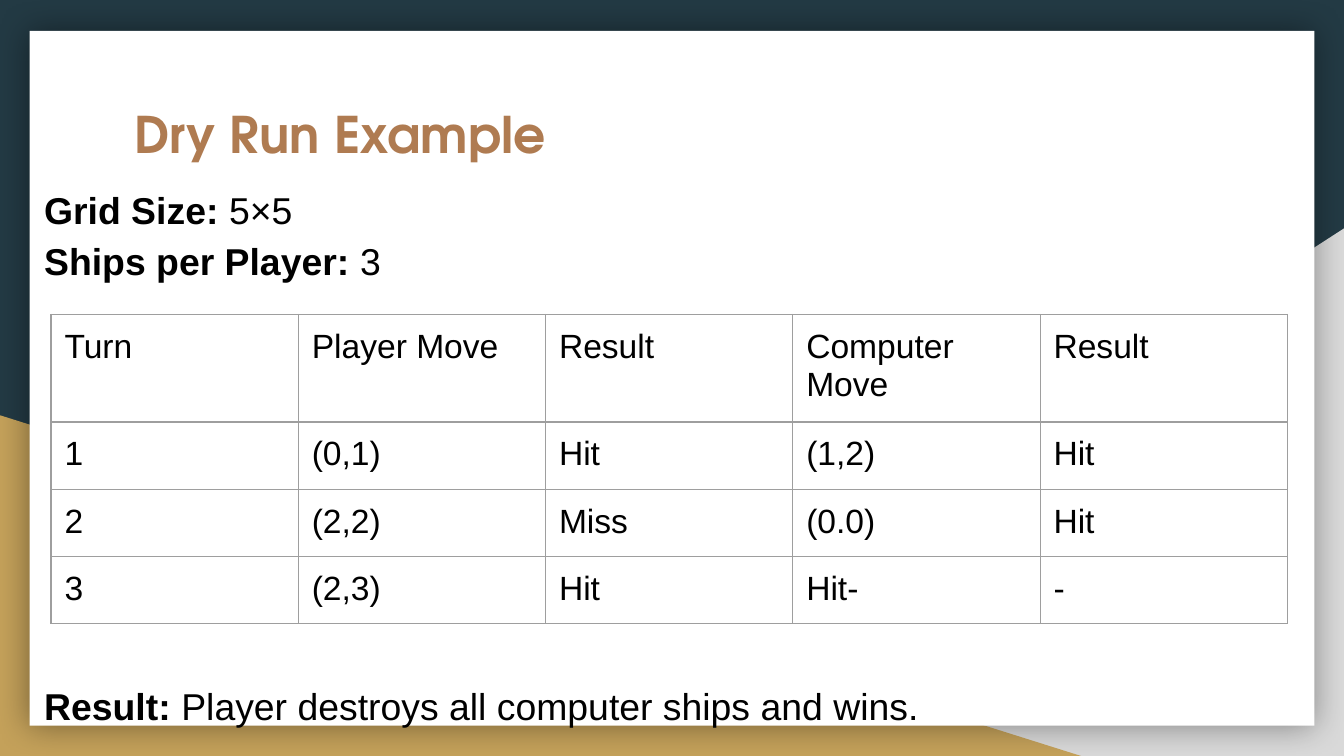
from dataclasses import dataclass

import lxml.etree
import pptx
import pptx.dml.color
import pptx.enum.shapes
import pptx.enum.text
import pptx.oxml
import pptx.oxml.ns
import pptx.util
from pptx.util import Inches

COLORS = {
    "navy": "233A44",
    "gray": "D9D9D9",
    "gold": "C4A15A",
    "white": "FFFFFF",
    "brown": "AF7B51",
    "black": "000000",
    "border": "9E9E9E",
}
BODY_FONT = "Arial"
TITLE_FONT = "TeX Gyre Adventor"
SHAPE = pptx.enum.shapes.MSO_SHAPE


@dataclass
class Panel:
    kind: SHAPE
    left: float
    top: float
    width: float
    height: float
    color: str
    flipped: bool = False
    shadowed: bool = False


@dataclass
class Fact:
    label: str
    value: str
    space_before: float = 0


PANELS = [
    Panel(SHAPE.RIGHT_TRIANGLE, 3.92, 1.7, 6.08, 3.93, "gray", flipped=True),
    Panel(SHAPE.RIGHT_TRIANGLE, 0, 3.09, 8.06, 2.54, "gold"),
    Panel(SHAPE.RECTANGLE, 0.22, 0.23, 9.56, 5.17, "white", shadowed=True),
]
FACTS = [
    Fact("Grid Size:", " 5×5"),
    Fact("Ships per Player:", " 3"),
    Fact("Result:", " Player destroys all computer ships and wins.", 210.5),
]
TURNS = [
    ["Turn", "Player Move", "Result", "Computer Move", "Result"],
    ["1", "(0,1)", "Hit", "(1,2)", "Hit"],
    ["2", "(2,2)", "Miss", "(0.0)", "Hit"],
    ["3", "(2,3)", "Hit", "Hit-", "-"],
]
SLIDE_WIDTH = 10
COLUMN_WIDTH = 1.84
HEADER_HEIGHT, ROW_HEIGHT = 0.61, 0.48


def rgb(name: str) -> pptx.dml.color.RGBColor:
    return pptx.dml.color.RGBColor.from_string(COLORS[name])


def format_font(font, name: str, size: float, color: str) -> None:
    font.name = name
    font.size = pptx.util.Pt(size)
    font.color.rgb = rgb(color)


def set_insets(target) -> None:
    for side in ("left", "top", "right", "bottom"):
        setattr(target, f"margin_{side}", Inches(0.1))


def add_panel(slide, panel: Panel) -> None:
    shape = slide.shapes.add_shape(
        panel.kind, Inches(panel.left), Inches(panel.top),
        Inches(panel.width), Inches(panel.height))
    shape.shadow.inherit = False
    shape.fill.solid()
    shape.fill.fore_color.rgb = rgb(panel.color)
    shape.line.fill.background()
    properties = shape._element.spPr
    if panel.flipped:
        properties.xfrm.set("flipH", "1")
    if panel.shadowed:
        effects = properties.find(pptx.oxml.ns.qn("a:effectLst"))
        effects.append(pptx.oxml.parse_xml(
            f'<a:outerShdw {pptx.oxml.ns.nsdecls("a")} blurRad="{pptx.util.Pt(18)}" '
            f'dist="0" dir="0" algn="ctr" rotWithShape="0">'
            f'<a:srgbClr val="{COLORS["black"]}"><a:alpha val="40000"/></a:srgbClr>'
            f'</a:outerShdw>'))


def format_title(slide, text: str) -> None:
    title = slide.shapes.title
    title.left, title.top = Inches(0.9), Inches(0.67)
    title.width, title.height = Inches(8.21), Inches(0.66)
    frame = title.text_frame
    frame.text = text
    frame.vertical_anchor = pptx.enum.text.MSO_ANCHOR.TOP
    set_insets(frame)
    paragraph = frame.paragraphs[0]
    paragraph.alignment = pptx.enum.text.PP_ALIGN.LEFT
    format_font(paragraph.font, TITLE_FONT, 27, "brown")
    paragraph.font.bold = True
    # Bring the title in front of the panels
    slide.shapes._spTree.append(title._element)


def add_facts(slide, facts: list[Fact]) -> None:
    box = slide.shapes.add_textbox(Inches(0.23), Inches(1.24), Inches(9.51), Inches(4.03))
    frame = box.text_frame
    frame.word_wrap = True
    set_insets(frame)
    for index, fact in enumerate(facts):
        paragraph = frame.add_paragraph() if index else frame.paragraphs[0]
        paragraph.line_spacing = 1.15
        paragraph.space_before = pptx.util.Pt(fact.space_before)
        format_font(paragraph.font, BODY_FONT, 20, "black")
        for text, bold in ((fact.label, True), (fact.value, False)):
            run = paragraph.add_run()
            run.text = text
            run.font.bold = bold


def set_borders(cell) -> None:
    properties = cell._tc.get_or_add_tcPr()
    for position, tag in enumerate(("lnL", "lnR", "lnT", "lnB")):
        properties.insert(position, pptx.oxml.parse_xml(
            f'<a:{tag} {pptx.oxml.ns.nsdecls("a")} w="{pptx.util.Pt(0.75)}">'
            f'<a:solidFill><a:srgbClr val="{COLORS["border"]}"/></a:solidFill></a:{tag}>'))


def add_turn_table(slide, rows: list[list[str]]) -> None:
    column_count = len(rows[0])
    height = HEADER_HEIGHT + ROW_HEIGHT * (len(rows) - 1)
    table = slide.shapes.add_table(
        len(rows), column_count, Inches(0.38), Inches(2.34),
        Inches(COLUMN_WIDTH * column_count), Inches(height)).table
    table.first_row = table.horz_banding = False
    for column in table.columns:
        column.width = Inches(COLUMN_WIDTH)
    for row_index, texts in enumerate(rows):
        table.rows[row_index].height = Inches(ROW_HEIGHT if row_index else HEADER_HEIGHT)
        for column_index, text in enumerate(texts):
            cell = table.cell(row_index, column_index)
            cell.text = text
            cell.fill.background()
            set_insets(cell)
            set_borders(cell)
            format_font(cell.text_frame.paragraphs[0].font, BODY_FONT, 18, "black")


def main() -> None:
    presentation = pptx.Presentation()
    presentation.slide_width = Inches(SLIDE_WIDTH)
    presentation.slide_height = Inches(SLIDE_WIDTH * 9 / 16)
    slide = presentation.slides.add_slide(presentation.slide_layouts[5])

    # Background and framing panels
    slide.background.fill.solid()
    slide.background.fill.fore_color.rgb = rgb("navy")
    for panel in PANELS:
        add_panel(slide, panel)

    # Title, game facts and turn log
    format_title(slide, "Dry Run Example")
    add_facts(slide, FACTS)
    add_turn_table(slide, TURNS)
    presentation.save("out.pptx")


if __name__ == "__main__":
    main()
